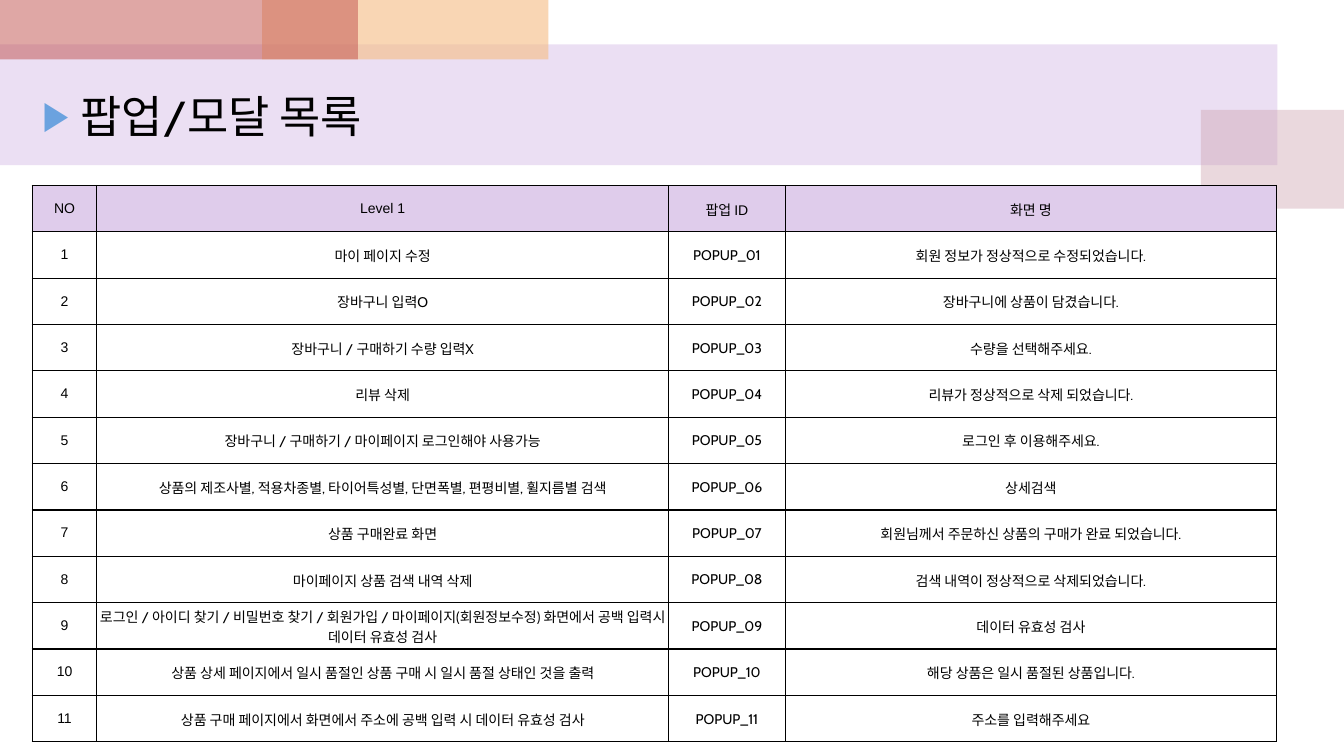
from dataclasses import dataclass

from lxml import etree
from pptx import Presentation
from pptx.dml.color import RGBColor
from pptx.enum.shapes import MSO_SHAPE
from pptx.enum.text import MSO_ANCHOR, MSO_AUTO_SIZE, PP_ALIGN
from pptx.oxml.ns import qn
from pptx.util import Inches, Pt

RECTANGLE = MSO_SHAPE.RECTANGLE
TOP, MIDDLE = MSO_ANCHOR.TOP, MSO_ANCHOR.MIDDLE
NO_AUTOFIT = MSO_AUTO_SIZE.NONE
LEFT, CENTER = PP_ALIGN.LEFT, PP_ALIGN.CENTER

COLORS = {
    "text": "000000",
    "band": "BF98D8",
    "rose": "CC9EAC",
    "orange": "F5BC83",
    "red": "C0504D",
    "bullet": "6BA2DF",
    "header": "DFCCEB",
}
TITLE_LAYOUT = 5
COLUMN_WIDTHS = (0.64, 5.67, 1.16, 4.87)
ROW_HEIGHT = 0.46
HEADERS = ("NO", "Level 1", "팝업 ID", "화면 명")


@dataclass(frozen=True)
class Block:
    left: float
    top: float
    width: float
    height: float
    color: str
    opacity: int


@dataclass(frozen=True)
class Popup:
    trigger: str
    message: str


@dataclass(frozen=True)
class CellStyle:
    font: str
    margins: tuple[float, float, float, float]  # left, top, right, bottom
    fill: str | None = None


BLOCKS = (
    Block(0, 0.44, 12.67, 1.2, "band", 30),
    Block(11.91, 1.09, 1.43, 0.98, "rose", 40),
    Block(2.6, 0, 2.84, 0.59, "orange", 60),
    Block(0, 0, 3.55, 0.59, "red", 50),
)

POPUPS = (
    Popup("마이 페이지 수정", "회원 정보가 정상적으로 수정되었습니다."),
    Popup("장바구니 입력O", "장바구니에 상품이 담겼습니다."),
    Popup("장바구니 / 구매하기 수량 입력X", "수량을 선택해주세요."),
    Popup("리뷰 삭제", "리뷰가 정상적으로 삭제 되었습니다."),
    Popup("장바구니 / 구매하기 / 마이페이지 로그인해야 사용가능", "로그인 후 이용해주세요."),
    Popup("상품의 제조사별, 적용차종별, 타이어특성별, 단면폭별, 편평비별, 휠지름별 검색", "상세검색"),
    Popup("상품 구매완료 화면", "회원님께서 주문하신 상품의 구매가 완료 되었습니다."),
    Popup("마이페이지 상품 검색 내역 삭제", "검색 내역이 정상적으로 삭제되었습니다."),
    Popup(
        "로그인 / 아이디 찾기 / 비밀번호 찾기 / 회원가입 / 마이페이지(회원정보수정) 화면에서 "
        "공백 입력시 데이터 유효성 검사",
        "데이터 유효성 검사",
    ),
    Popup(
        "상품 상세 페이지에서 일시 품절인 상품 구매 시 일시 품절 상태인 것을 출력",
        "해당 상품은 일시 품절된 상품입니다.",
    ),
    Popup("상품 구매 페이지에서 화면에서 주소에 공백 입력 시 데이터 유효성 검사", "주소를 입력해주세요"),
)

HEADER_STYLE = CellStyle("Arial", (0.04, 0.01, 0.04, 0), "header")
HEADER_NUMBER_STYLE = CellStyle("Arial", (0.04, 0.05, 0.04, 0.05), "header")
NUMBER_STYLE = CellStyle("Arial", (0.04, 0, 0.04, 0))
BODY_STYLE = CellStyle("Cabin", (0.01, 0.01, 0.01, 0))


def rgb(color: str) -> RGBColor:
    return RGBColor.from_string(COLORS[color])


def format_runs(paragraph, font: str, size: float) -> None:
    for run in paragraph.runs:
        run.font.name = font
        run.font.size = Pt(size)
        run.font.color.rgb = rgb("text")


def draw_block(slide, block: Block) -> None:
    bounds = (block.left, block.top, block.width, block.height)
    shape = slide.shapes.add_shape(RECTANGLE, *map(Inches, bounds))
    shape.shadow.inherit = False
    shape.line.fill.background()
    shape.fill.solid()
    shape.fill.fore_color.rgb = rgb(block.color)
    color = shape.element.spPr.find(f"{qn('a:solidFill')}/{qn('a:srgbClr')}")
    etree.SubElement(color, qn("a:alpha"), val=str(block.opacity * 1000))


def draw_title(slide, text: str) -> None:
    title = slide.shapes.title
    title.left, title.top = Inches(0.32), Inches(0.83)
    title.width, title.height = Inches(6.77), Inches(0.32)
    # Bring the title in front of the translucent blocks
    title.element.getparent().append(title.element)
    frame = title.text_frame
    frame.text = text
    frame.word_wrap = True
    frame.auto_size = NO_AUTOFIT
    frame.vertical_anchor = TOP
    heading = frame.paragraphs[0]
    heading.alignment = LEFT
    format_runs(heading, "Cabin", 32)

    # Triangle bullet with a hanging indent
    properties = heading._p.get_or_add_pPr()
    properties.set("marL", str(Inches(0.38)))
    properties.set("indent", str(-Inches(0.38)))
    space_before = etree.SubElement(properties, qn("a:spcBef"))
    etree.SubElement(space_before, qn("a:spcPct"), val="20000")
    bullet_color = etree.SubElement(properties, qn("a:buClr"))
    etree.SubElement(bullet_color, qn("a:srgbClr"), val=COLORS["bullet"])
    etree.SubElement(properties, qn("a:buSzPct"), val="90000")
    etree.SubElement(properties, qn("a:buFont"), typeface="Arial")
    etree.SubElement(properties, qn("a:buChar"), char="▶")


def draw_borders(cell) -> None:
    properties = cell._tc.get_or_add_tcPr()
    for side in ("lnL", "lnR", "lnT", "lnB"):
        line = etree.SubElement(properties, qn(f"a:{side}"), w=str(Pt(1)))
        fill = etree.SubElement(line, qn("a:solidFill"))
        etree.SubElement(fill, qn("a:srgbClr"), val=COLORS["text"])


def fill_cell(cell, text: str, style: CellStyle) -> None:
    draw_borders(cell)
    if style.fill:
        cell.fill.solid()
        cell.fill.fore_color.rgb = rgb(style.fill)
    else:
        cell.fill.background()
    margins = map(Inches, style.margins)
    cell.margin_left, cell.margin_top, cell.margin_right, cell.margin_bottom = margins
    cell.vertical_anchor = MIDDLE
    cell.text_frame.text = text
    paragraph = cell.text_frame.paragraphs[0]
    paragraph.alignment = CENTER
    format_runs(paragraph, style.font, 10)


def draw_popup_table(slide) -> None:
    rows = [HEADERS] + [
        (str(number), popup.trigger, f"POPUP_{number:02}", popup.message)
        for number, popup in enumerate(POPUPS, 1)
    ]
    table = slide.shapes.add_table(
        len(rows), len(HEADERS), Inches(0.32), Inches(1.84),
        Inches(sum(COLUMN_WIDTHS)), Inches(ROW_HEIGHT * len(rows)),
    ).table
    table.first_row = table.horz_banding = False
    for column, width in zip(table.columns, COLUMN_WIDTHS):
        column.width = Inches(width)
    for r, values in enumerate(rows):
        table.rows[r].height = Inches(ROW_HEIGHT)
        first, rest = (NUMBER_STYLE, BODY_STYLE) if r else (HEADER_NUMBER_STYLE, HEADER_STYLE)
        for c, value in enumerate(values):
            fill_cell(table.cell(r, c), value, rest if c else first)


def main() -> None:
    presentation = Presentation()
    presentation.slide_width, presentation.slide_height = Inches(13.33), Inches(7.5)
    slide = presentation.slides.add_slide(presentation.slide_layouts[TITLE_LAYOUT])
    # Decorative blocks behind the heading
    for block in BLOCKS:
        draw_block(slide, block)
    draw_title(slide, "팝업/모달 목록")
    draw_popup_table(slide)
    presentation.save("out.pptx")


if __name__ == "__main__":
    main()
